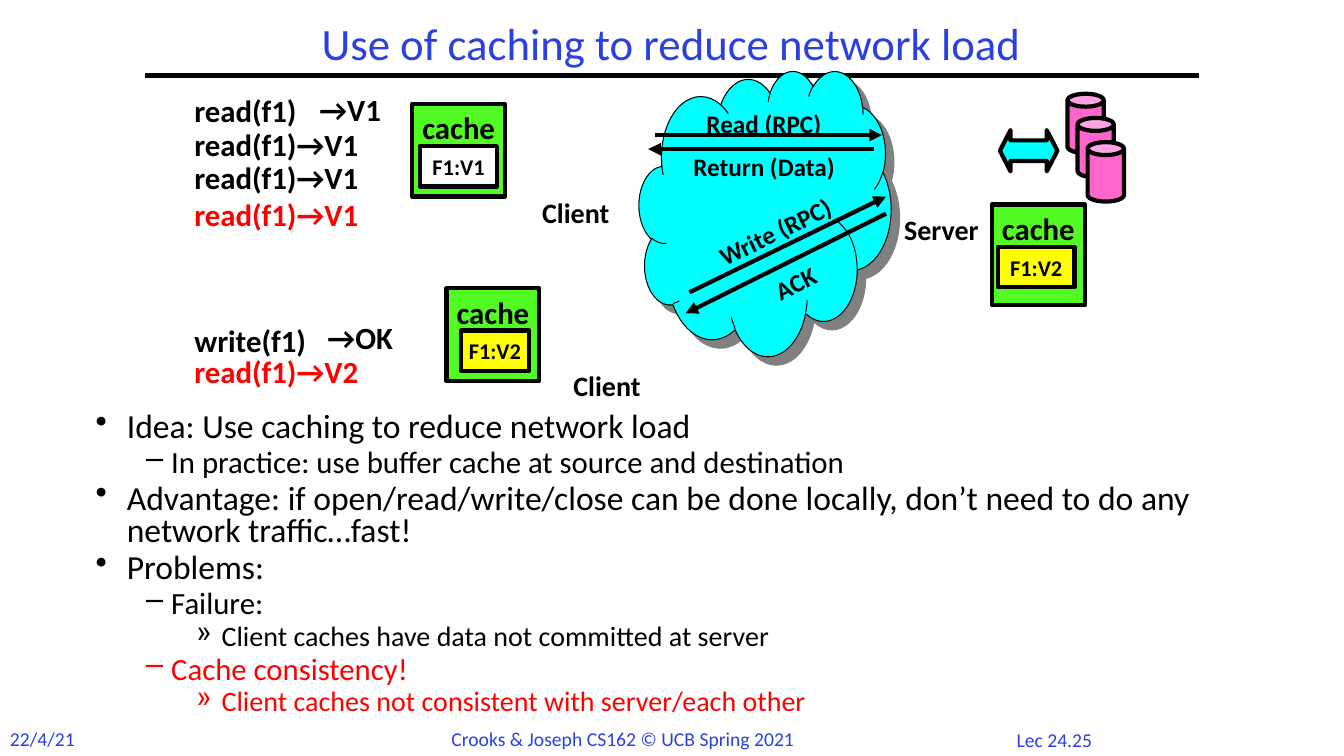
from pptx import Presentation
from pptx.dml.color import RGBColor
from pptx.enum.shapes import MSO_CONNECTOR, MSO_SHAPE
from pptx.enum.text import MSO_ANCHOR, PP_ALIGN
from pptx.oxml.ns import qn
from pptx.util import Inches, Pt
from lxml import etree

BLACK = RGBColor(0x00, 0x00, 0x00)
WHITE = RGBColor(0xFF, 0xFF, 0xFF)
BLUE = RGBColor(0x2A, 0x40, 0xE2)
RED = RGBColor(0xFF, 0x00, 0x00)
GREEN = RGBColor(0x53, 0xFB, 0x25)
YELLOW = RGBColor(0xFF, 0xFF, 0x00)
CYAN = RGBColor(0x00, 0xFF, 0xFF)
PINK = RGBColor(0xFF, 0x66, 0xCC)

LEFT, MID = PP_ALIGN.LEFT, PP_ALIGN.CENTER
TOP, CENTRE = MSO_ANCHOR.TOP, MSO_ANCHOR.MIDDLE
RECT, CAN, CLOUD = MSO_SHAPE.RECTANGLE, MSO_SHAPE.CAN, MSO_SHAPE.CLOUD
SWAP = MSO_SHAPE.LEFT_RIGHT_ARROW
STRAIGHT = MSO_CONNECTOR.STRAIGHT

# Places are columns and rows of a grid with ten cells to the inch.
CELL = Inches(0.1)
COLS, ROWS = 133.33, 75

TITLE = "Use of caching to reduce network load"
RULE = (14.4, 7.5, 118.9, 7.5)
HAZE = (63.4, 7, 25, 28.3)

FOOTER = [
    ("22/4/21", (0, 71.6, 10, 3.4), LEFT),
    ("Crooks & Joseph CS162 © UCB Spring 2021", (43.8, 71.6, 38, 3.4), LEFT),
    ("Lec 24.25", (99.2, 71.7, 10.8, 3.3), MID),
]

CALLS = [  # text, column, row, colour
    ("read(f1)", 18.3, 8.6, BLACK),
    ("→V1", 30.7, 8.5, BLACK),
    ("read(f1)→V1", 18.3, 12, BLACK),
    ("read(f1)→V1", 18.3, 15.3, BLACK),
    ("read(f1)→V1", 18.3, 18.9, RED),
    ("write(f1)", 18.3, 31.4, BLACK),
    ("→OK", 31.5, 31.1, BLACK),
    ("read(f1)→V2", 18.3, 34.5, RED),
]

HOSTS = [("Client", 52.8, 18.9), ("Client", 55.9, 36.1), ("Server", 88.7, 20.6)]

CACHES = [  # box, tag, tag text, tag colour
    ((40.9, 10.3, 9.2, 9.2), (41.7, 14.5, 7.6, 4), "F1:V1", WHITE),
    ((44.3, 28.6, 9.2, 9.2), (45.7, 32.8, 6.8, 4), "F1:V2", YELLOW),
    ((98.4, 20.3, 9.2, 10), (99, 24.5, 7.6, 4), "F1:V2", YELLOW),
]

TRAFFIC = [  # text, box, align, turn, arrow ends
    ("Read (RPC)", (69.1, 10.3, 15.9, 4), LEFT, 0, (65, 13.4, 87.5, 13.4)),
    ("Return (Data)", (66.8, 14.5, 18, 4), MID, 0, (86.7, 14.8, 64.3, 14.8)),
    ("Write (RPC)", (69.8, 20.5, 16, 4), LEFT, 334, (68.4, 29, 87.9, 19.5)),
    ("ACK", (68.1, 26.1, 21.6, 4), MID, 333.5, (87.9, 21.2, 68, 31.1)),
]

DISKS, DISK, STEP = 3, (105.9, 9.3, 3.6, 5.9), (1, 2.4)
LINK = (99.2, 12.9, 5.7, 4.1)

BODY = (8.5, 40.5, 116.5, 33.3)
POINTS = [  # level, text, colour
    (0, "Idea: Use caching to reduce network load", BLACK),
    (1, "In practice: use buffer cache at source and destination", BLACK),
    (0, "Advantage: if open/read/write/close can be done locally, "
        "don’t need to do any network traffic…fast!", BLACK),
    (0, "Problems:", BLACK),
    (1, "Failure:", BLACK),
    (2, "Client caches have data not committed at server", BLACK),
    (1, "Cache consistency!", RED),
    (2, "Client caches not consistent with server/each other", RED),
]
LEVELS = [("•", 24, 0.31, 0.31), ("–", 22, 0.75, 0.25), ("»", 20, 1.25, 0.25)]


def cells(*spans):
    return [round(span * CELL) for span in spans]


def style(para, size, color=BLACK, bold=True):
    look = {"name": "Calibri", "size": Pt(size), "bold": bold}
    for key, value in look.items():
        setattr(para.font, key, value)
    para.font.color.rgb = color


def write(shape, text, size, color=BLACK, bold=True, align=LEFT,
          anchor=TOP, wrap=True):
    frame = shape.text_frame
    frame.word_wrap = wrap
    frame.vertical_anchor = anchor
    para = frame.paragraphs[0]
    para.text = text
    para.alignment = align
    style(para, size, color, bold)
    return para


def label(slide, box, text, size, **look):
    shape = slide.shapes.add_textbox(*cells(*box))
    write(shape, text, size, **look)
    return shape


def solid(slide, kind, box, fill, width=3, adjust=()):
    shape = slide.shapes.add_shape(kind, *cells(*box))
    shape.shadow.inherit = False
    shape.fill.solid()
    shape.fill.fore_color.rgb = fill
    shape.line.color.rgb = BLACK
    shape.line.width = Pt(width)
    for spot, value in enumerate(adjust):
        shape.adjustments[spot] = value
    return shape


def line(slide, ends, arrow=True):
    link = slide.shapes.add_connector(STRAIGHT, *cells(*ends))
    link.line.color.rgb = BLACK
    link.line.width = Pt(3)
    props = link._element.spPr
    if arrow:
        etree.SubElement(props.find(qn("a:ln")), qn("a:tailEnd"), type="triangle")
    etree.SubElement(props, qn("a:effectLst"))


def shade(shape):
    """Cast a hard grey shadow down and to the right."""
    effects = shape._element.spPr.find(qn("a:effectLst"))
    cast = etree.SubElement(effects, qn("a:outerShdw"), blurRad="0",
                            dist=str(Pt(8.5)), dir=str(45 * 60000),
                            algn="ctr", rotWithShape="0")
    etree.SubElement(cast, qn("a:srgbClr"), val="808080")


def outline(slide):
    frame = slide.shapes.add_textbox(*cells(*BODY)).text_frame
    frame.word_wrap = True
    for spot, (level, text, color) in enumerate(POINTS):
        mark, size, margin, hang = LEVELS[level]
        para = frame.add_paragraph() if spot else frame.paragraphs[0]
        para.text = text
        para.level = level
        props = para._p.get_or_add_pPr()
        props.set("marL", str(Inches(margin)))
        props.set("indent", str(-Inches(hang)))
        etree.SubElement(props, qn("a:buChar"), char=mark)
        para.line_spacing = 0.8
        if spot:
            para.space_before = Pt(0.15 * size)
        style(para, size, color, False)


def main():
    deck = Presentation()
    deck.slide_width, deck.slide_height = cells(COLS, ROWS)
    slide = deck.slides.add_slide(deck.slide_layouts[6])

    for text, box, align in FOOTER:
        label(slide, box, text, 14, color=BLUE, bold=False, align=align)
    line(slide, RULE, arrow=False)
    shade(solid(slide, CLOUD, HAZE, CYAN, width=0.75))
    title = label(slide, (14.4, 1.7, 104.4, 5.8), TITLE, 32, color=BLUE,
                  bold=False, align=MID, anchor=CENTRE)
    title.text_frame.paragraphs[0].line_spacing = 0.9

    for text, box, align, turn, ends in TRAFFIC:
        line(slide, ends)
        label(slide, box, text, 18, align=align).rotation = turn
    for box, tag, text, fill in CACHES:
        write(solid(slide, RECT, box, GREEN), "cache", 22,
              align=MID, wrap=False)
        write(solid(slide, RECT, tag, fill), text, 16,
              align=MID, anchor=CENTRE, wrap=False)
    for text, col, row, color in CALLS:
        label(slide, (col, row, 20.2, 4.7), text, 22, color=color)
    for text, col, row in HOSTS:
        label(slide, (col, row, 11.1, 4.3), text, 20)

    left, top, width, height = DISK
    for spot in range(DISKS):
        box = (left + spot * STEP[0], top + spot * STEP[1], width, height)
        solid(slide, CAN, box, PINK, adjust=[0.357])
    solid(slide, SWAP, LINK, CYAN, adjust=[0.5, 0.257])
    outline(slide)
    deck.save("out.pptx")


if __name__ == "__main__":
    main()
